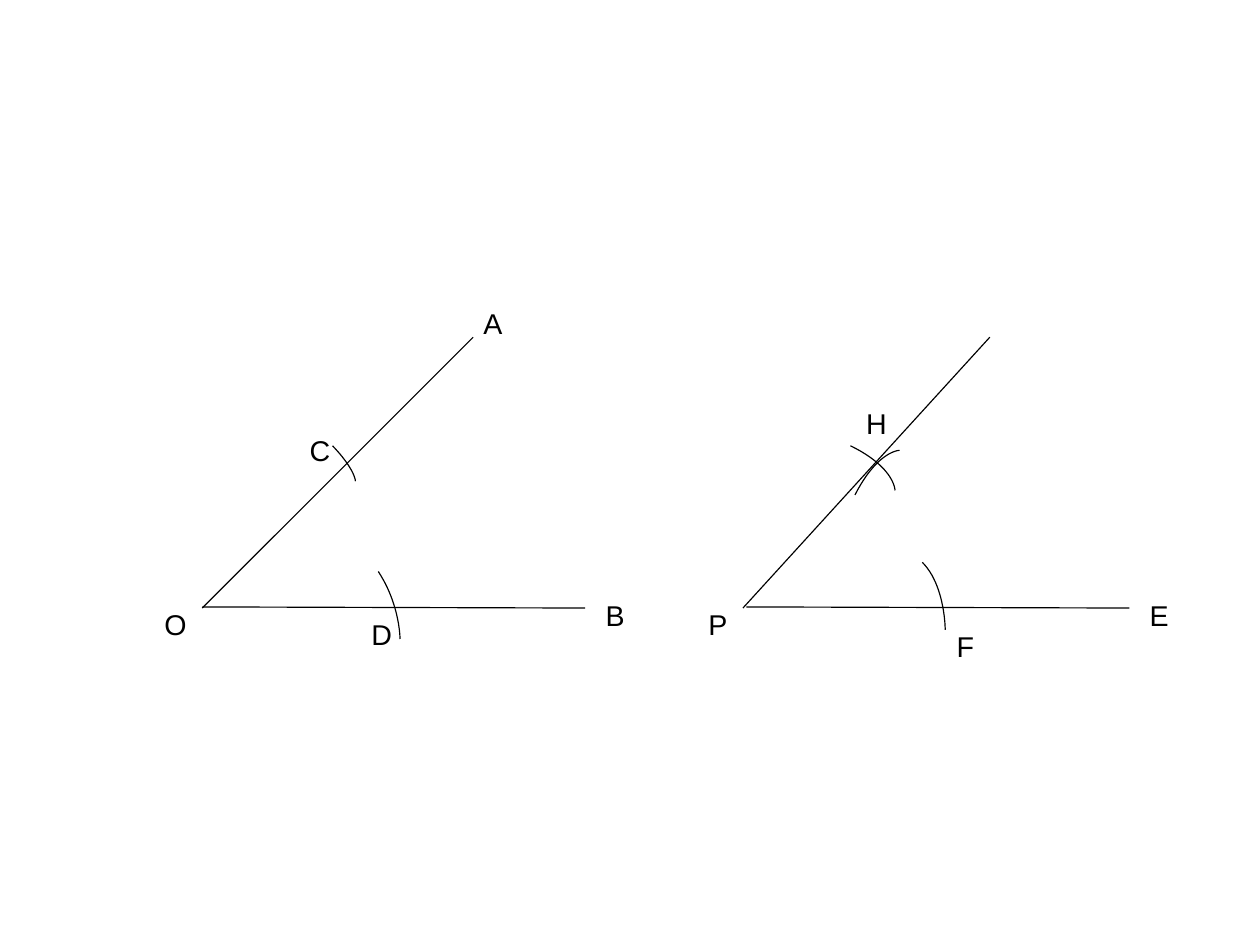
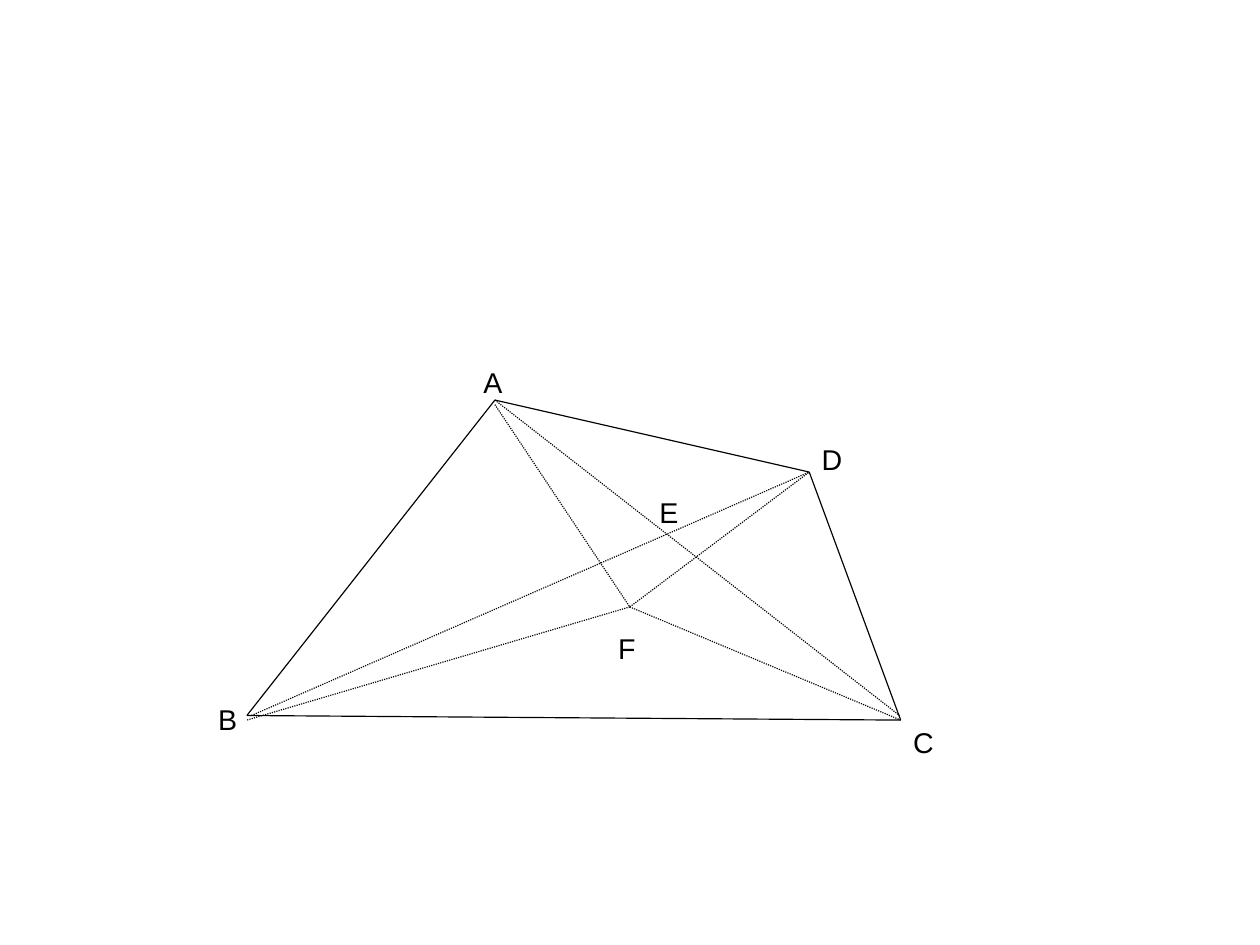
from lxml import etree
from pptx import Presentation
from pptx.dml.color import RGBColor
from pptx.enum.dml import MSO_LINE
from pptx.enum.shapes import MSO_CONNECTOR
from pptx.oxml.ns import qn
from pptx.util import Cm, Inches, Pt

STRAIGHT = MSO_CONNECTOR.STRAIGHT
DOTTED = MSO_LINE.ROUND_DOT
BLANK_LAYOUT = 6
COLORS = {"ink": "000000", "paper": "FFFFFF"}
LABEL_WIDTHS = {"C": 0.38, "D": 0.38, "F": 0.35, "H": 0.38, "O": 0.39, "P": 0.39}


class GeometryDeck:
    font_name = "Arial"
    font_size = Pt(18)
    line_width = Pt(0.75)
    label_height = 0.38
    arc_steps = 24

    def __init__(self):
        self.presentation = Presentation()
        self.presentation.slide_width = Cm(28)
        self.presentation.slide_height = Cm(21)
        self.slide = None

    def color(self, name):
        return RGBColor.from_string(COLORS[name])

    def add_slide(self):
        layout = self.presentation.slide_layouts[BLANK_LAYOUT]
        self.slide = self.presentation.slides.add_slide(layout)
        fill = self.slide.background.fill
        fill.solid()
        fill.fore_color.rgb = self.color("paper")

    def style_line(self, line):
        line.color.rgb = self.color("ink")
        line.width = self.line_width

    def segment(self, start, end, dash=None):
        ends = [Inches(value) for value in (*start, *end)]
        connector = self.slide.shapes.add_connector(STRAIGHT, *ends)
        self.style_line(connector.line)
        if dash is not None:
            connector.line.dash_style = dash
        etree.SubElement(connector._element.spPr, qn("a:effectLst"))

    def arc(self, start, control, end):
        points = []
        for step in range(self.arc_steps + 1):
            t = step / self.arc_steps
            first = (1 - t) ** 3
            second = 3 * t * (1 - t) ** 2
            weights = (first, second, 1 - first - second)
            points.append(tuple(
                Inches(sum(weight * value for weight, value in zip(weights, values)))
                for values in zip(start, control, end)
            ))
        builder = self.slide.shapes.build_freeform(*points[0])
        builder.add_line_segments(points[1:], close=False)
        shape = builder.convert_to_shape()
        shape.shadow.inherit = False
        shape.fill.background()
        self.style_line(shape.line)

    def label(self, letter, left, top):
        width = LABEL_WIDTHS.get(letter, 0.36)
        box = self.slide.shapes.add_textbox(
            Inches(left), Inches(top), Inches(width), Inches(self.label_height)
        )
        frame = box.text_frame
        frame.word_wrap = False
        frame.margin_left = frame.margin_right = Inches(0.1)
        frame.margin_top = Inches(0.07)
        frame.margin_bottom = Inches(0.05)
        paragraph = frame.paragraphs[0]
        paragraph.line_spacing = 0.93
        run = paragraph.add_run()
        run.text = letter
        run.font.name = self.font_name
        run.font.size = self.font_size
        run.font.color.rgb = self.color("ink")

    def labels(self, places):
        for letter, left, top in places:
            self.label(letter, left, top)

    def save(self):
        self.presentation.save("out.pptx")


def build_angle_slide(deck):
    deck.add_slide()
    for start, end in (
        ((4.14, 2.95), (1.77, 5.32)),
        ((1.77, 5.31), (5.12, 5.32)),
        ((6.53, 5.31), (9.88, 5.32)),
        ((6.5, 5.32), (8.66, 2.95)),
    ):
        deck.segment(start, end)
    for start, control, end in (
        ((8.07, 4.92), (8.27, 5.12), (8.27, 5.51)),
        ((7.48, 4.33), (7.68, 3.94), (7.87, 3.94)),
        ((3.31, 5), (3.5, 5.29), (3.5, 5.59)),
        ((7.44, 3.9), (7.83, 4.09), (7.83, 4.29)),
        ((2.91, 3.9), (3.11, 4.11), (3.11, 4.21)),
    ):
        deck.arc(start, control, end)
    deck.labels((
        ("A", 4.13, 2.63), ("O", 1.34, 5.27), ("B", 5.2, 5.19),
        ("P", 6.1, 5.27), ("E", 9.96, 5.19), ("C", 2.61, 3.74),
        ("D", 3.15, 5.35), ("F", 8.27, 5.46), ("H", 7.48, 3.51),
    ))


def build_quadrilateral_slide(deck):
    deck.add_slide()
    a, b, c, d = corners = ((4.33, 3.5), (2.16, 6.26), (7.88, 6.3), (7.08, 4.13))
    f = (5.51, 5.31)
    for start, end in zip(corners, corners[1:] + corners[:1]):
        deck.segment(start, end)
    for start, end in (
        (a, (7.87, 6.26)),
        ((2.2, 6.26), d),
        ((4.33, 3.54), f),
        (f, d),
        (f, c),
        (f, (2.16, 6.3)),
    ):
        deck.segment(start, end, DOTTED)
    deck.labels((
        ("A", 4.13, 3.15), ("B", 1.81, 6.1), ("C", 7.89, 6.3),
        ("D", 7.09, 3.82), ("E", 5.67, 4.29), ("F", 5.31, 5.48),
    ))


def main():
    deck = GeometryDeck()
    build_angle_slide(deck)
    build_quadrilateral_slide(deck)
    deck.save()


if __name__ == "__main__":
    main()
